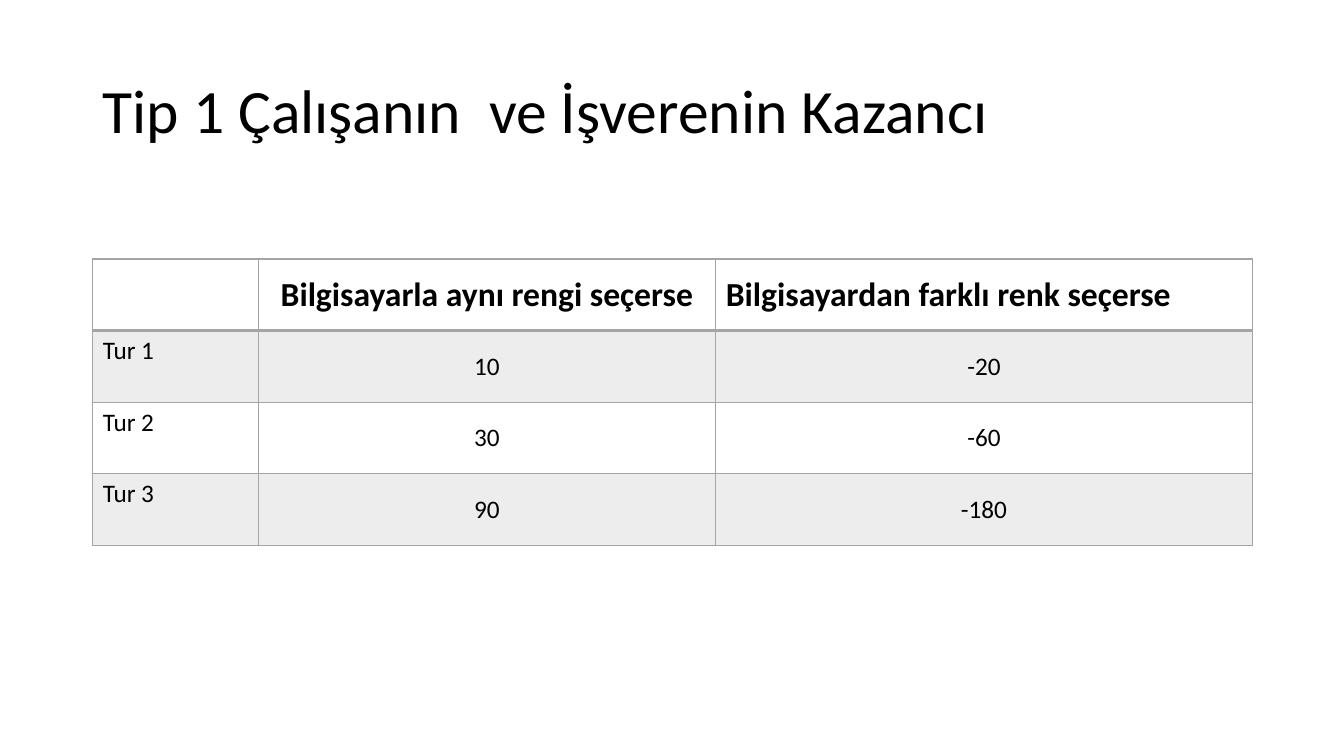
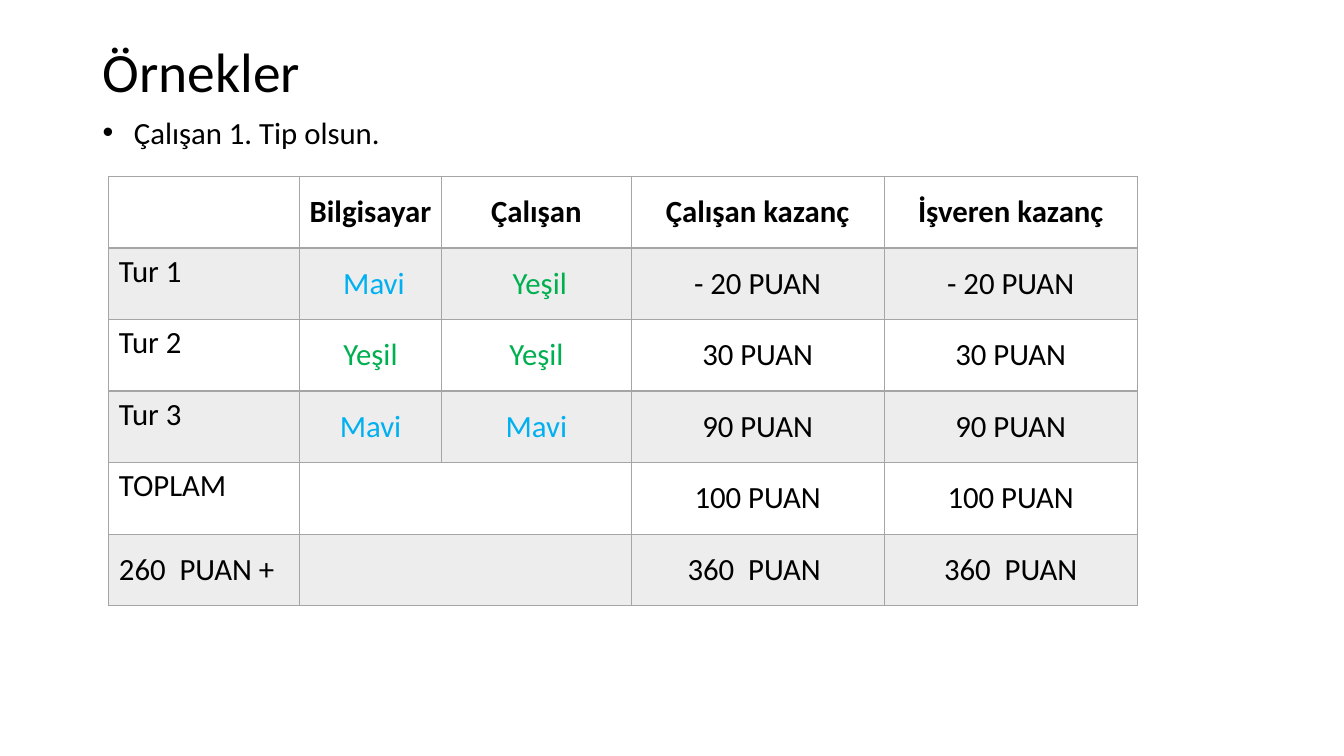
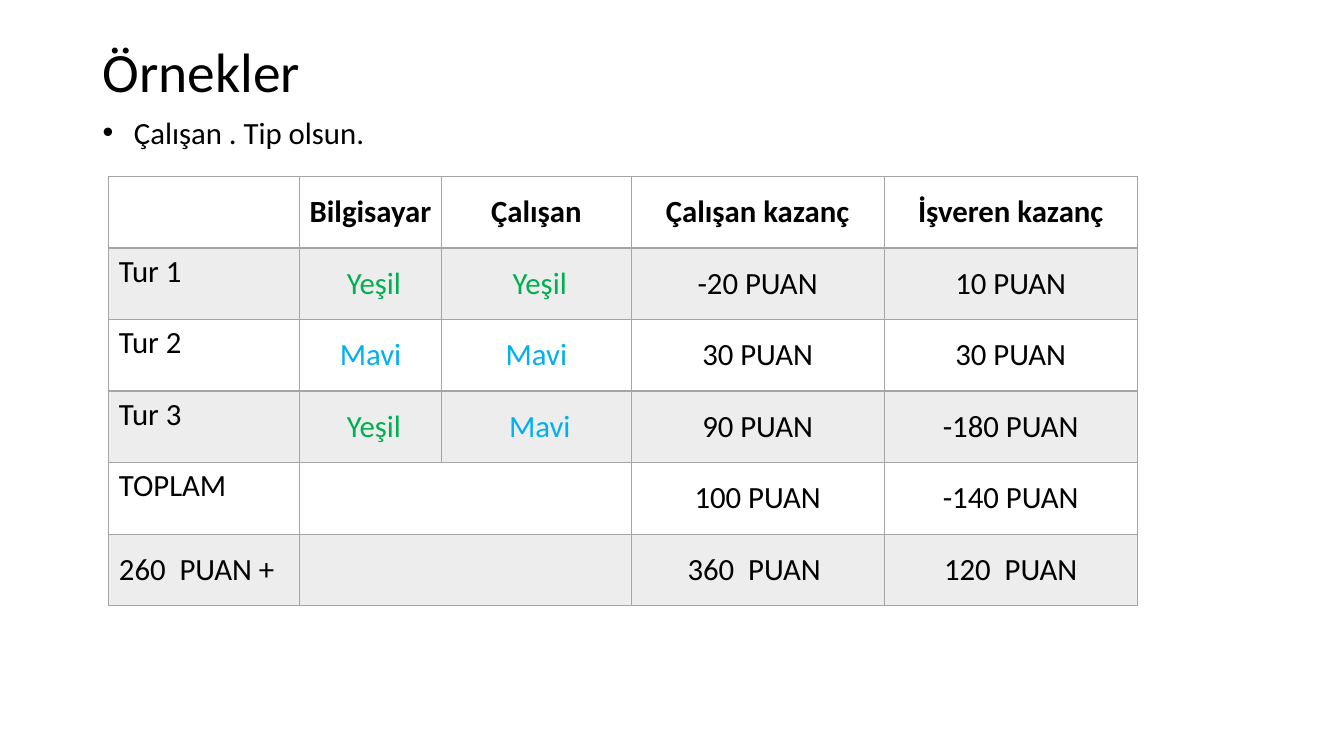
from dataclasses import dataclass
from typing import Any

from lxml import etree
from pptx import Presentation
from pptx.dml.color import RGBColor
from pptx.enum.text import MSO_ANCHOR, MSO_AUTO_SIZE, PP_ALIGN
from pptx.oxml.ns import qn
from pptx.util import Inches, Pt

LEFT, CENTER = PP_ALIGN.LEFT, PP_ALIGN.CENTER
TOP, MIDDLE = MSO_ANCHOR.TOP, MSO_ANCHOR.MIDDLE
NO_FIT, GROW = MSO_AUTO_SIZE.NONE, MSO_AUTO_SIZE.SHAPE_TO_FIT_TEXT

# Shared style
FONT = "Calibri"
BLACK, GRAY = "000000", "A5A5A5"
WORD_COLOURS = {"Mavi": "00B0F0", "Yeşil": "00B050"}
BAND_OPACITY = 20
ROW_HEIGHT = 0.71
TEXT_LEFT, TEXT_WIDTH, TITLE_TOP = 0.92, 11.5, 0.4
TITLE_ONLY = 5


@dataclass
class TableSpec:
    left: float
    top: float
    widths: list[float]
    rows: list[list[str]]
    header_size: float
    body_size: float
    left_headers: tuple[int, ...] = ()
    middle_labels: tuple[int, ...] = ()
    merged_rows: tuple[int, ...] = ()


@dataclass
class PageSpec:
    title: str
    title_size: float
    title_height: float
    table: TableSpec
    bullet: str = ""


def colour(value: str) -> RGBColor:
    return RGBColor.from_string(value)


def apply(target: Any, values: dict[str, Any]) -> None:
    for name, value in values.items():
        setattr(target, name, value)


def write(para: Any, text: str, size: float, bold: bool = False,
          ink: str = BLACK, align: Any = LEFT) -> None:
    para.alignment = align
    span = para.add_run()
    span.text = text
    apply(span.font, {"name": FONT, "size": Pt(size), "bold": bold})
    span.font.color.rgb = colour(ink)


def place(box: Any, top: float, height: float) -> None:
    apply(box, {"left": Inches(TEXT_LEFT), "top": Inches(top),
                "width": Inches(TEXT_WIDTH), "height": Inches(height)})


# Title and bullet line
def add_title(page: Any, spec: PageSpec) -> None:
    box = page.shapes.title
    place(box, TITLE_TOP, spec.title_height)
    apply(box.text_frame, {"word_wrap": True, "auto_size": NO_FIT,
                           "vertical_anchor": MIDDLE})
    para = box.text_frame.paragraphs[0]
    para.line_spacing = 0.9
    write(para, spec.title, spec.title_size)


def add_bullet(page: Any, text: str) -> None:
    box = page.shapes.add_textbox(0, 0, 0, 0)
    place(box, 1.08, 0.47)
    apply(box.text_frame, {"word_wrap": True, "auto_size": GROW})
    para = box.text_frame.paragraphs[0]
    write(para, text, 22)
    settings = para._p.get_or_add_pPr()
    settings.set("marL", str(Inches(0.31)))
    settings.set("indent", str(-Inches(0.31)))
    etree.SubElement(settings, qn("a:buFont")).set("typeface", "Arial")
    etree.SubElement(settings, qn("a:buChar")).set("char", "•")


# Table
def set_borders(cell: Any, row: int) -> None:
    settings = cell._tc.get_or_add_tcPr()
    header_rule = {0: "lnB", 1: "lnT"}.get(row)
    for side in ("lnL", "lnR", "lnT", "lnB"):
        line = etree.SubElement(settings, qn(f"a:{side}"))
        line.set("w", str(Pt(2 if side == header_rule else 1)))
        fill = etree.SubElement(line, qn("a:solidFill"))
        etree.SubElement(fill, qn("a:srgbClr")).set("val", GRAY)


def set_band(cell: Any, row: int) -> None:
    if row % 2 == 0:
        cell.fill.background()
        return
    cell.fill.solid()
    cell.fill.fore_color.rgb = colour(GRAY)
    tint = cell._tc.tcPr.find(f"{qn('a:solidFill')}/{qn('a:srgbClr')}")
    etree.SubElement(tint, qn("a:alpha")).set("val", str(BAND_OPACITY * 1000))


def add_table(page: Any, spec: TableSpec) -> None:
    row_count = len(spec.rows)
    table = page.shapes.add_table(
        row_count, len(spec.widths), Inches(spec.left), Inches(spec.top),
        Inches(sum(spec.widths)), Inches(ROW_HEIGHT * row_count)).table
    apply(table, {"first_row": False, "horz_banding": False})
    for column, width in zip(table.columns, spec.widths):
        column.width = Inches(width)
    for row, texts in enumerate(spec.rows):
        table.rows[row].height = Inches(ROW_HEIGHT)
        for column, text in enumerate(texts):
            cell = table.cell(row, column)
            set_borders(cell, row)
            set_band(cell, row)
            is_label = column == 0
            cell.vertical_anchor = (
                TOP if is_label and row not in spec.middle_labels else MIDDLE)
            if not text:
                continue
            is_header = row == 0
            is_left = is_label or (is_header and column in spec.left_headers)
            write(cell.text_frame.paragraphs[0], text,
                  spec.header_size if is_header else spec.body_size,
                  bold=is_header,
                  ink=WORD_COLOURS.get(text.strip(), BLACK),
                  align=LEFT if is_left else CENTER)
    for row in spec.merged_rows:
        table.cell(row, 1).merge(table.cell(row, 2))


# Content
def example_page(bullet: str, rounds: list[list[str]],
                 employer_sum: str, employer_total: str) -> PageSpec:
    rows = [
        ["", "Bilgisayar", "Çalışan", "Çalışan kazanç", "İşveren kazanç"],
        *([f"Tur {number}", *cells] for number, cells in enumerate(rounds, 1)),
        ["TOPLAM", "", "", "100 PUAN", employer_sum],
        ["260  PUAN + ", "", "", "360  PUAN ", employer_total],
    ]
    table = TableSpec(1.08, 1.75, [1.89, 1.41, 1.88, 2.51, 2.51], rows, 22, 22,
                      middle_labels=(5,), merged_rows=(4, 5))
    return PageSpec("Örnekler", 39.6, 0.68, table, bullet)


EARNINGS = TableSpec(0.92, 2.57, [1.64, 4.54, 5.32], [
    ["", "Bilgisayarla aynı rengi seçerse", "Bilgisayardan farklı renk seçerse"],
    ["Tur 1", "10", "-20"],
    ["Tur 2", "30", "-60"],
    ["Tur 3", "90", "-180"],
], 24, 18, left_headers=(2,))

PAGES = [
    PageSpec("Tip 1 Çalışanın  ve İşverenin Kazancı ", 44, 1.45, EARNINGS),
    example_page("Çalışan 1. Tip olsun.", [
        [" Mavi", " Yeşil", "- 20 PUAN", "- 20 PUAN"],
        ["Yeşil", "Yeşil", "30 PUAN", "30 PUAN"],
        ["Mavi", "Mavi", "90 PUAN", "90 PUAN"],
    ], "100 PUAN", "360  PUAN"),
    example_page("Çalışan . Tip olsun.", [
        [" Yeşil", " Yeşil", "-20 PUAN", "10 PUAN"],
        ["Mavi", "Mavi", "30 PUAN", "30 PUAN"],
        [" Yeşil", " Mavi", "90 PUAN", "-180 PUAN"],
    ], "-140 PUAN", "120  PUAN"),
]


def main() -> None:
    deck = Presentation()
    apply(deck, {"slide_width": Inches(13.33), "slide_height": Inches(7.5)})
    for spec in PAGES:
        page = deck.slides.add_slide(deck.slide_layouts[TITLE_ONLY])
        add_table(page, spec.table)
        add_title(page, spec)
        if spec.bullet:
            add_bullet(page, spec.bullet)
    deck.save("out.pptx")


main()
